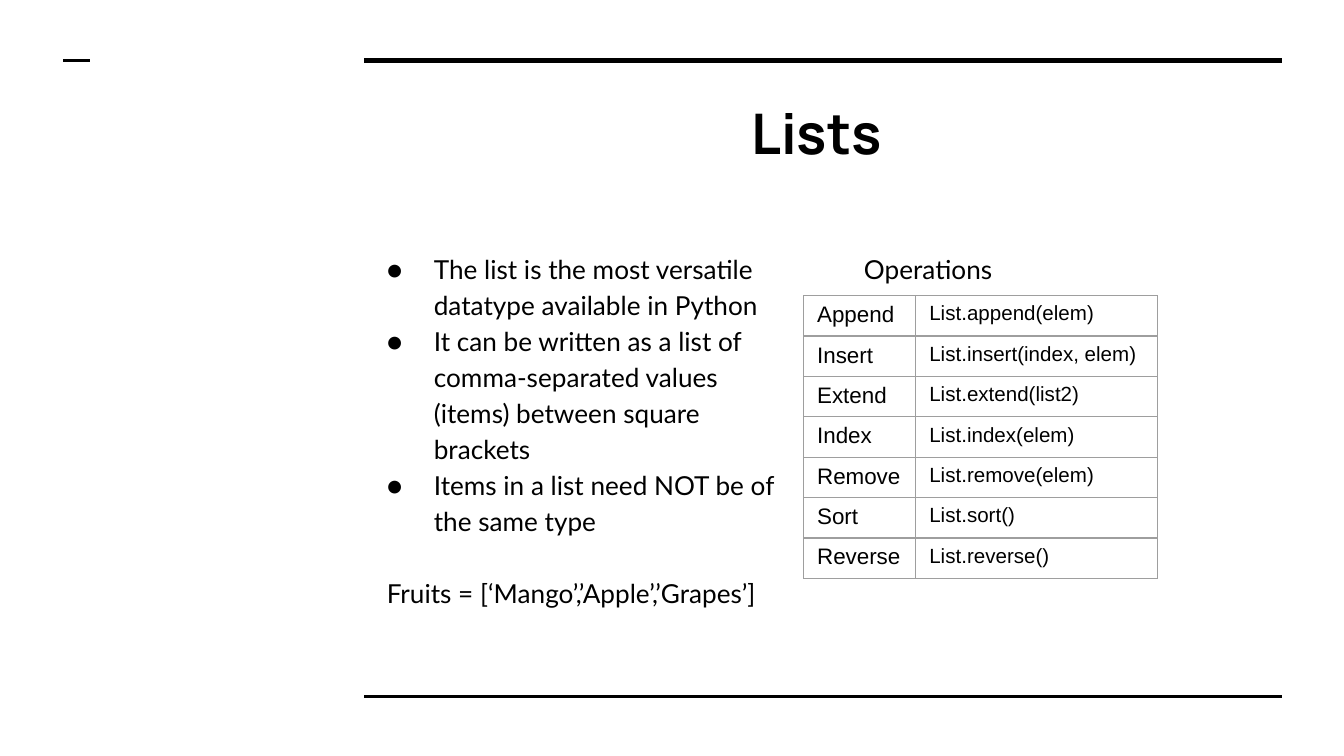
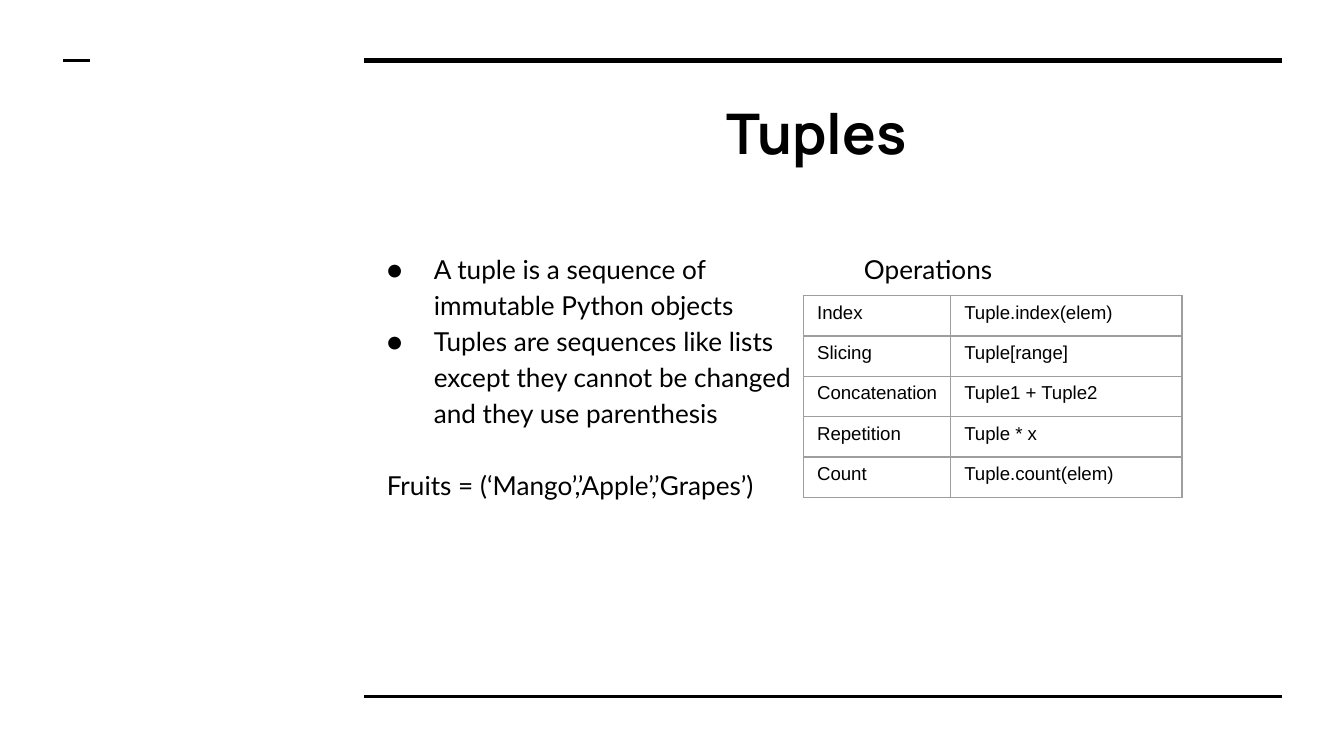
from lxml import etree
from pptx import Presentation
from pptx.dml.color import RGBColor
from pptx.enum.shapes import MSO_CONNECTOR
from pptx.enum.text import PP_ALIGN
from pptx.oxml.ns import qn
from pptx.util import Inches, Pt

STRAIGHT = MSO_CONNECTOR.STRAIGHT
CENTER = PP_ALIGN.CENTER

BLACK, GREY = "000000", "9E9E9E"
TITLE_FONT, BODY_FONT, TABLE_FONT = "Manrope", "Lato", "Arial"

COL = ROW = Inches(0.1)
TITLE_BOX = (26.2, 6.3, 69.1, 6.9)
NOTES_BOX = (26.3, 17.5, 33.6, 32.8)
OPERATIONS_BOX = (61.8, 17.5, 33.6, 32.8)
TABLE_OFFSET = (-2, 4.5)
TABLE_ROW = 3
TEXT_INDENT = 1.5
BULLET_INDENT, BULLET_HANG = 5, -3.5
RULES = [(27.1, 95.4, 4.5, 3), (27.1, 95.4, 51.8, 1.5), (4.7, 6.7, 4.5, 1.5)]
EXAMPLE_GAP = 19.3

TOPICS = [
    {
        "title": "Lists",
        "points": [
            "The list is the most versatile datatype available in Python",
            "It can be written as a list of comma-separated values (items) between square brackets",
            "Items in a list need NOT be of the same type",
        ],
        "example": "Fruits = [‘Mango’,’Apple’,’Grapes’]",
        "columns": (8.35, 18),
        "sizes": (12, 11),
        "operations": [
            ("Append", "List.append(elem)"),
            ("Insert", "List.insert(index, elem)"),
            ("Extend", "List.extend(list2)"),
            ("Index", "List.index(elem)"),
            ("Remove", "List.remove(elem)"),
            ("Sort", "List.sort()"),
            ("Reverse", "List.reverse()"),
        ],
    },
    {
        "title": "Tuples",
        "points": [
            "A tuple is a sequence of immutable Python objects",
            "Tuples are sequences like lists except they cannot be changed and they use parenthesis",
        ],
        "example": "Fruits = (‘Mango’,’Apple’,’Grapes’)",
        "columns": (10.95, 17.2),
        "sizes": (10, 10),
        "operations": [
            ("Index", "Tuple.index(elem)"),
            ("Slicing", "Tuple[range]"),
            ("Concatenation", "Tuple1 + Tuple2"),
            ("Repetition", "Tuple * x"),
            ("Count", "Tuple.count(elem)"),
        ],
    },
]


def color(value):
    return RGBColor.from_string(value)


def cols(n):
    return round(n * COL)


def rows(n):
    return round(n * ROW)


def add_run(p, text, font, size, bold=False):
    r = p.add_run()
    r.text = text
    r.font.name = font
    r.font.size = Pt(size)
    r.font.bold = bold
    r.font.color.rgb = color(BLACK)


def add_text_frame(s, box):
    left, top, width, height = box
    tf = s.shapes.add_textbox(cols(left), rows(top), cols(width), rows(height)).text_frame
    tf.word_wrap = True
    tf.margin_left = tf.margin_right = cols(1)
    tf.margin_top = tf.margin_bottom = rows(1)
    return tf


def add_rules(s):
    for start, end, y, weight in RULES:
        line = s.shapes.add_connector(STRAIGHT, cols(start), rows(y), cols(end), rows(y))
        line.line.color.rgb = color(BLACK)
        line.line.width = Pt(weight)
        etree.SubElement(line._element.spPr, qn("a:effectLst"))


def add_title(s, box, text):
    p = add_text_frame(s, box).paragraphs[0]
    p.alignment = CENTER
    add_run(p, text, TITLE_FONT, 30, bold=True)


def add_body_text(p, text, bullet=False):
    p.line_spacing = 1.15
    pPr = p._p.get_or_add_pPr()
    pPr.set("marL", str(cols(BULLET_INDENT if bullet else TEXT_INDENT)))
    pPr.set("indent", str(cols(BULLET_HANG if bullet else 0)))
    if bullet:
        bu_clr = etree.SubElement(pPr, qn("a:buClr"))
        etree.SubElement(bu_clr, qn("a:srgbClr"), val=BLACK)
        etree.SubElement(pPr, qn("a:buFont"), typeface=BODY_FONT)
        etree.SubElement(pPr, qn("a:buChar"), char="●")
    add_run(p, text, BODY_FONT, 14)


def add_notes(s, box, points, example):
    tf = add_text_frame(s, box)
    for i, point in enumerate(points):
        p = tf.add_paragraph() if i else tf.paragraphs[0]
        add_body_text(p, point, bullet=True)
    p = tf.add_paragraph()
    p.space_before = Pt(EXAMPLE_GAP)
    add_body_text(p, example)


def add_borders(cell):
    tcPr = cell._tc.get_or_add_tcPr()
    for side in ("lnL", "lnR", "lnT", "lnB"):
        ln = etree.SubElement(tcPr, qn(f"a:{side}"), w=str(Pt(0.75)))
        fill = etree.SubElement(ln, qn("a:solidFill"))
        etree.SubElement(fill, qn("a:srgbClr"), val=GREY)


def add_operations(s, box, topic):
    add_body_text(add_text_frame(s, box).paragraphs[0], "Operations")
    operations, widths = topic["operations"], topic["columns"]
    left, top = box[0] + TABLE_OFFSET[0], box[1] + TABLE_OFFSET[1]
    table = s.shapes.add_table(
        len(operations), len(widths), cols(left), rows(top),
        cols(sum(widths)), rows(TABLE_ROW * len(operations)),
    ).table
    table.first_row = table.horz_banding = False
    for column, width in zip(table.columns, widths):
        column.width = cols(width)
    for row, texts in zip(table.rows, operations):
        row.height = rows(TABLE_ROW)
        for cell, text, size in zip(row.cells, texts, topic["sizes"]):
            add_borders(cell)
            cell.fill.background()
            add_run(cell.text_frame.paragraphs[0], text, TABLE_FONT, size)


def add_topic_slide(prs, topic):
    s = prs.slides.add_slide(prs.slide_layouts[6])
    s.background.fill.solid()
    s.background.fill.fore_color.rgb = color("FFFFFF")
    add_rules(s)
    add_title(s, TITLE_BOX, topic["title"])
    add_notes(s, NOTES_BOX, topic["points"], topic["example"])
    add_operations(s, OPERATIONS_BOX, topic)


def main():
    prs = Presentation()
    prs.slide_width = cols(100)
    prs.slide_height = rows(56.25)
    for topic in TOPICS:
        add_topic_slide(prs, topic)
    prs.save("out.pptx")


if __name__ == "__main__":
    main()
